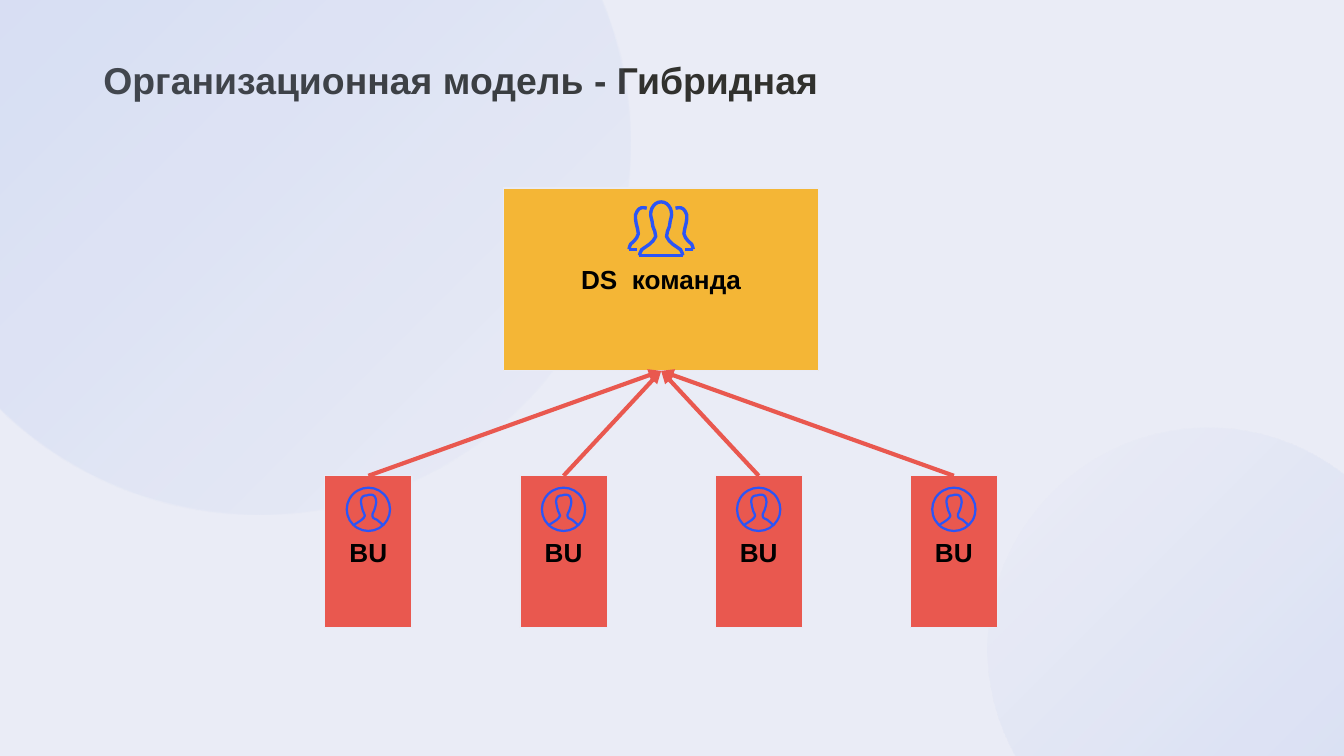
import pptx
import pptx.dml.color
import pptx.enum.shapes
import pptx.enum.text
import pptx.oxml
import pptx.oxml.ns
import pptx.util
from lxml import etree

Pt = pptx.util.Pt
SHAPE = pptx.enum.shapes.MSO_SHAPE
ALIGN = pptx.enum.text.PP_ALIGN
ANCHOR = pptx.enum.text.MSO_ANCHOR

# Content
TITLE = "Организационная модель - Гибридная"
TEAM = "DS  команда"
UNITS = ["BU"] * 4

# Look
FONT = "Arial"
BACKGROUND, BUBBLE, INK, BLACK = "EAECF6", "91ADE9", "31312E", "000000"
AMBER, RED, BORDER, BLUE = "F4B636", "E9584F", "E9EBF5", "2B55F6"

# Left, top, diameter, angle, gradient stops (position %, opacity %)
BUBBLES = [
    (529.2, 229, 236.2, 45, [(0, 0), (10, 0), (90, 20), (100, 20)]),
    (-59.8, -121.7, 397.4, 225, [(0, 0), (75, 20), (100, 20)]),
]

# Layout: the units are spread evenly around the team's axis
AXIS = 354.2
TEAM_TOP, TEAM_WIDTH, TEAM_HEIGHT = 100.8, 169, 97.9
UNIT_TOP, UNIT_WIDTH, UNIT_HEIGHT, UNIT_STEP = 254.9, 46.8, 81.4, 104.55
RING_RADIUS = 11.6

# Icon curves, in points from the icon's centre
BUST = [(-7.6, 8.2), (-3.6, 5.6), (-1.9, 3.4), (-2.9, 0.9), (-4, -4.2),
        (-3, -6.9), (-0.7, -7.5), (1.3, -7.9), (3.4, -7), (4.2, -3.8),
        (3.2, 0.4), (2.2, 2.6), (2.6, 4.6), (4.6, 5.6), (7.6, 8.2)]
FRONT_HALF = [(0, -14.6), (2.9, -13.7), (5, -11), (5.6, -7.6), (4.9, -4.5),
              (4.4, -1.4), (2.9, 4), (6.5, 8.3), (10.4, 11), (11.6, 14.1)]
FRONT_BASE = [(-11.6, 14.1), (11.6, 14.1)]
SIDE = [(7.7, -11.2), (9.6, -11.5), (11.9, -10.8), (13.7, -7.6), (13.4, -3.2),
        (12.2, 2.5), (14.4, 6.3), (16.4, 8.1), (17.2, 10.8)]
SIDE_BASE = [(17.2, 10.8), (13, 10.8)]


def colour(value):
    return pptx.dml.color.RGBColor.from_string(value)


def style_text(frame, text, size, ink, align):
    frame.text = text
    paragraph = frame.paragraphs[0]
    paragraph.alignment = align
    font = paragraph.font
    font.name, font.size, font.bold = FONT, Pt(size), True
    font.color.rgb = colour(ink)


def add_bubble(left, top, diameter, angle, stops):
    bubble = slide.shapes.add_shape(
        SHAPE.OVAL, Pt(left), Pt(top), Pt(diameter), Pt(diameter))
    bubble.shadow.inherit = False
    bubble.line.fill.background()
    marks = "".join(
        f'<a:gs pos="{place * 1000}"><a:srgbClr val="{BUBBLE}">'
        f'<a:alpha val="{opacity * 1000}"/></a:srgbClr></a:gs>'
        for place, opacity in stops)
    gradient = pptx.oxml.parse_xml(
        f'<a:gradFill {pptx.oxml.ns.nsdecls("a")} rotWithShape="1">'
        f'<a:gsLst>{marks}</a:gsLst>'
        f'<a:lin ang="{angle * 60000}" scaled="0"/></a:gradFill>')
    geometry = bubble._element.spPr.find(pptx.oxml.ns.qn("a:prstGeom"))
    geometry.addnext(gradient)


def add_box(text, centre, top, width, height, fill):
    box = slide.shapes.add_shape(
        SHAPE.RECTANGLE, Pt(centre - width / 2), Pt(top), Pt(width), Pt(height))
    box.shadow.inherit = False
    box.fill.solid()
    box.fill.fore_color.rgb = colour(fill)
    box.line.color.rgb = colour(BORDER)
    box.line.width = Pt(0.75)
    frame = box.text_frame
    frame.word_wrap = True
    frame.vertical_anchor = ANCHOR.MIDDLE
    frame.margin_left = frame.margin_right = Pt(7.2)
    frame.margin_top = frame.margin_bottom = Pt(7.2)
    style_text(frame, text, 14, BLACK, ALIGN.CENTER)


def add_arrow(start_x, start_y, end_x, end_y):
    arrow = slide.shapes.add_connector(
        pptx.enum.shapes.MSO_CONNECTOR.STRAIGHT,
        Pt(start_x), Pt(start_y), Pt(end_x), Pt(end_y))
    arrow.line.color.rgb = colour(RED)
    arrow.line.width = Pt(2.25)
    qn = pptx.oxml.ns.qn
    etree.SubElement(arrow.line._get_or_add_ln(), qn("a:tailEnd"), type="triangle")
    etree.SubElement(arrow._element.spPr, qn("a:effectLst"))


def mirror(curve):
    return [(-x, y) for x, y in curve]


def smooth(curve):
    """Add a Catmull-Rom midpoint between neighbours; scale to 1/100 point."""
    padded = [curve[0], *curve, curve[-1]]
    points = [curve[0]]
    for a, b, c, d in zip(padded, padded[1:], padded[2:], padded[3:]):
        middle = tuple((9 * (q + r) - p - s) / 16 for p, q, r, s in zip(a, b, c, d))
        points += [middle, c]
    return [(x * 100, y * 100) for x, y in points]


def outline(shape, weight):
    shape.shadow.inherit = False
    shape.fill.background()
    shape.line.color.rgb = colour(BLUE)
    shape.line.width = Pt(weight)


def add_icon(curves, centre_x, centre_y, weight):
    first, *others = [smooth(curve) for curve in curves]
    builder = slide.shapes.build_freeform(*first[0], scale=Pt(1) / 100)
    builder.add_line_segments(first[1:], close=False)
    for points in others:
        builder.move_to(*points[0])
        builder.add_line_segments(points[1:], close=False)
    outline(builder.convert_to_shape(Pt(centre_x), Pt(centre_y)), weight)


# Slide and background
presentation = pptx.Presentation()
presentation.slide_width, presentation.slide_height = Pt(720), Pt(405)
slide = presentation.slides.add_slide(presentation.slide_layouts[5])
slide.background.fill.solid()
slide.background.fill.fore_color.rgb = colour(BACKGROUND)
for bubble_spec in BUBBLES:
    add_bubble(*bubble_spec)

# Title
title = slide.shapes.title
title.left, title.top, title.width, title.height = Pt(55.4), Pt(30.2), Pt(533.5), Pt(24.5)
heading = title.text_frame
heading.margin_left = heading.margin_right = heading.margin_top = heading.margin_bottom = 0
heading.word_wrap = True
heading.auto_size = pptx.enum.text.MSO_AUTO_SIZE.NONE
heading.vertical_anchor = ANCHOR.BOTTOM
style_text(heading, TITLE, 20, INK, ALIGN.LEFT)

# Team and units, then the arrows, then the icons
unit_centres = [AXIS + (i - (len(UNITS) - 1) / 2) * UNIT_STEP for i in range(len(UNITS))]
add_box(TEAM, AXIS, TEAM_TOP, TEAM_WIDTH, TEAM_HEIGHT, AMBER)
for unit, centre in zip(UNITS, unit_centres):
    add_box(unit, centre, UNIT_TOP, UNIT_WIDTH, UNIT_HEIGHT, RED)
for centre in unit_centres:
    add_arrow(centre, UNIT_TOP, AXIS, TEAM_TOP + TEAM_HEIGHT)
front = mirror(FRONT_HALF)[::-1] + FRONT_HALF[1:]
sides = [SIDE, SIDE_BASE, mirror(SIDE), mirror(SIDE_BASE)]
add_icon([front, FRONT_BASE, *sides], AXIS, TEAM_TOP + 22, 1.8)
for centre in unit_centres:
    middle = UNIT_TOP + 18
    ring = slide.shapes.add_shape(
        SHAPE.OVAL, Pt(centre - RING_RADIUS), Pt(middle - RING_RADIUS),
        Pt(2 * RING_RADIUS), Pt(2 * RING_RADIUS))
    outline(ring, 1.2)
    add_icon([BUST], centre, middle, 1.2)

presentation.save("out.pptx")
